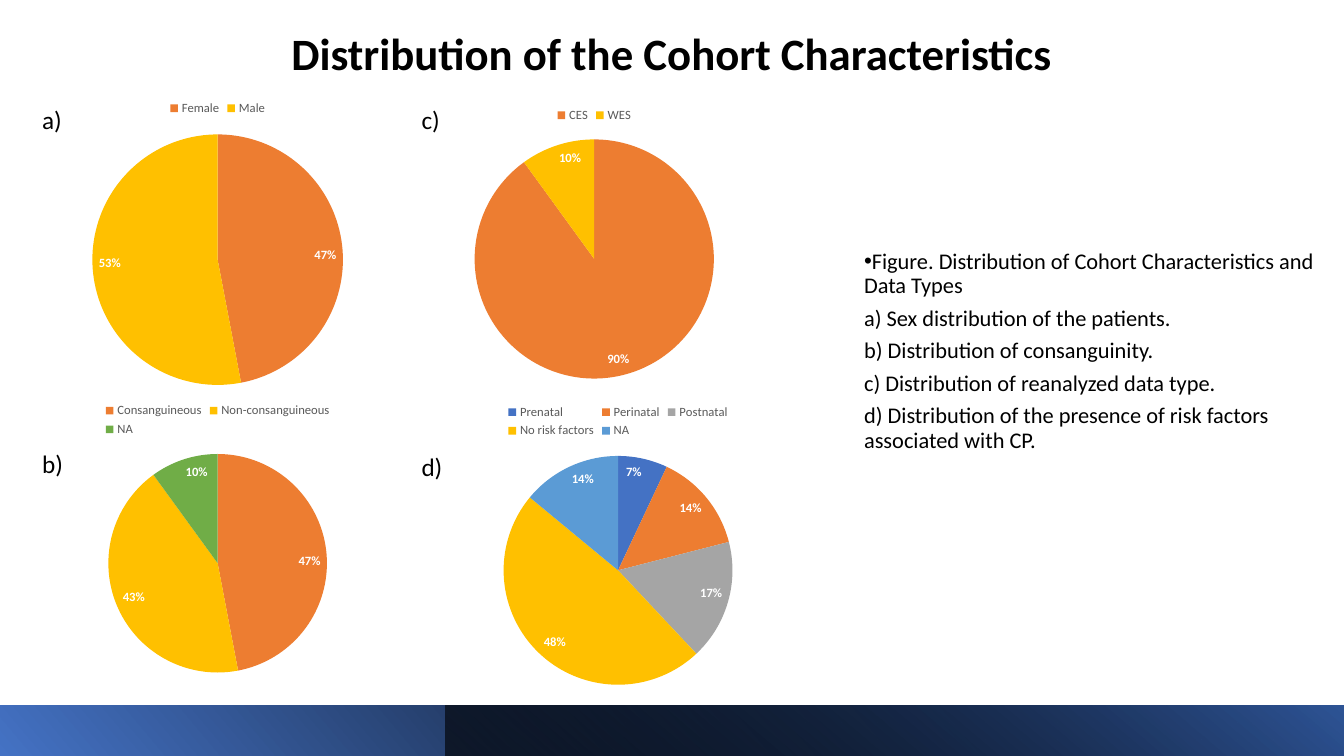
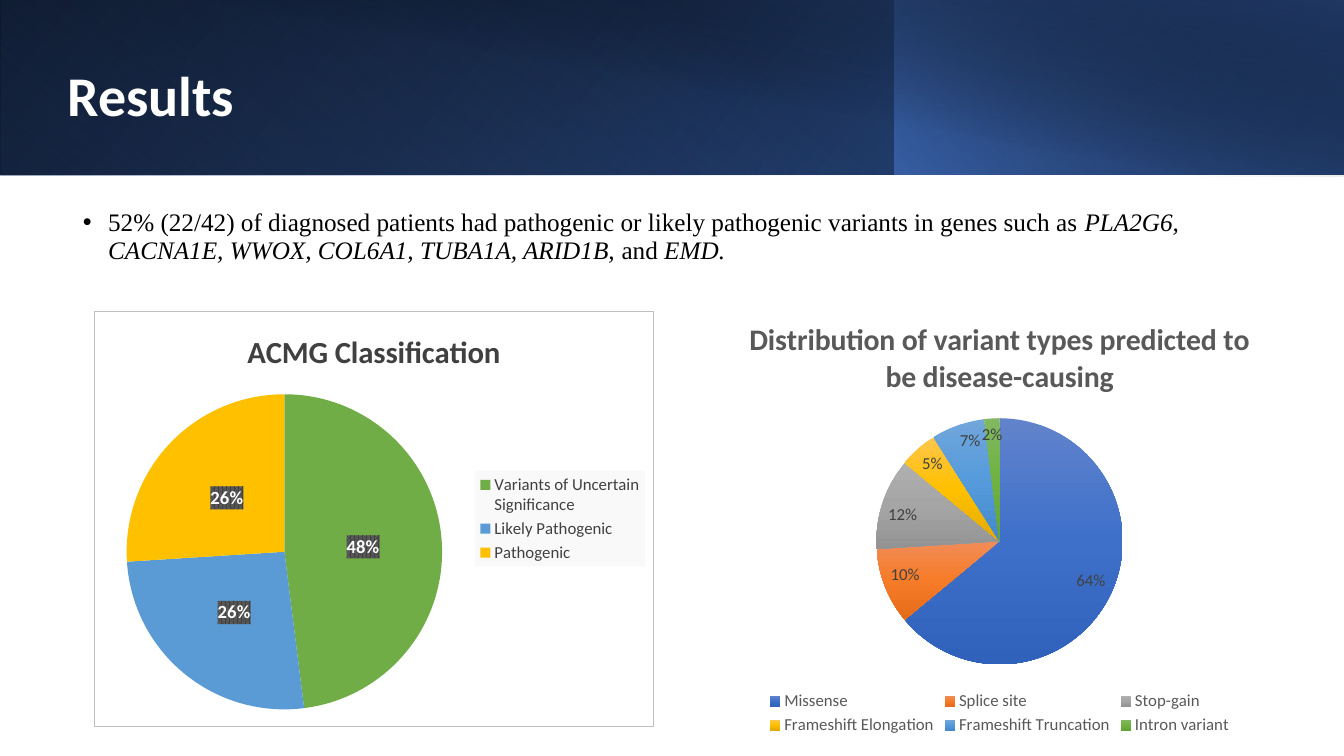
from dataclasses import dataclass

from pptx import Presentation
from pptx import util as u
from pptx.chart import data as chart_data
from pptx.dml.color import RGBColor
from pptx.enum import chart as charts, shapes, text
from pptx.oxml import parse_xml
from pptx.oxml.ns import nsdecls, qn


@dataclass(frozen=True)
class Theme:
    font: str = "Calibri"
    serif: str = "Times New Roman"
    black: str = "000000"
    white: str = "FFFFFF"
    dark: str = "404040"
    grey: str = "595959"
    border: str = "BFBFBF"
    legend_back: str = "F2F2F2"
    blue: str = "4472C4"
    navy: str = "203864"
    royal: str = "2F5597"
    orange: str = "ED7D31"
    silver: str = "A5A5A5"
    gold: str = "FFC000"
    sky: str = "5B9BD5"
    green: str = "70AD47"
    heading: float = 40
    title: float = 32
    chart_title: float = 21.3
    chart_title_large: float = 22
    label: float = 18
    body: float = 16
    value: float = 13.3
    legend: float = 12
    chart: float = 10
    small: float = 9


THEME = Theme()
WIDTH, HEIGHT = u.Inches(13.33), u.Inches(7.5)
COLUMNS, ROWS = 96, 54
BAND_TOP, BAND_HEIGHT, HEADER_HEIGHT = 50.4, 3.6, 12.5


def grid(left, top, width, height):
    column, row = WIDTH / COLUMNS, HEIGHT / ROWS
    return [u.Emu(round(size)) for size in
            (left * column, top * row, width * column, height * row)]


def place(shape, box):
    shape.left, shape.top, shape.width, shape.height = grid(*box)


def style_font(font, size, color, bold=False, name=THEME.font):
    font.name, font.size, font.bold = name, u.Pt(size), bold
    font.color.rgb = RGBColor.from_string(color)


def color_xml(color, alpha=100):
    return f'<a:srgbClr val="{color}"><a:alpha val="{alpha * 1000}"/></a:srgbClr>'


def solid_xml(color, alpha=100):
    return f"<a:solidFill>{color_xml(color, alpha)}</a:solidFill>"


def paint_gradient(fill, stops, angle):
    fill.background()
    stops_xml = "".join(f'<a:gs pos="{position * 1000}">{color_xml(*color)}</a:gs>'
                        for position, *color in stops)
    gradient = parse_xml(
        f'<a:gradFill rotWithShape="1" {nsdecls("a")}><a:gsLst>{stops_xml}</a:gsLst>'
        f'<a:lin ang="{angle * 60000}" scaled="0"/></a:gradFill>')
    properties = fill._xPr
    properties.replace(properties.find(qn("a:noFill")), gradient)


def add_band(slide, box, stops, angle, rotation=0, flip=True):
    band = slide.shapes.add_shape(shapes.MSO_SHAPE.RECTANGLE, *grid(*box))
    band.shadow.inherit = False
    band.line.fill.background()
    band.rotation = rotation
    if flip:
        band._element.spPr.find(qn("a:xfrm")).set("flipH", "1")
    paint_gradient(band.fill, stops, angle)


def set_bullet(paragraph, character=None, margin=0, indent=0):
    properties = paragraph._p.get_or_add_pPr()
    properties.set("marL", str(u.Inches(margin)))
    properties.set("indent", str(u.Inches(indent)))
    bullet = f'<a:buChar char="{character}" ' if character else "<a:buNone "
    properties.append(parse_xml(f'{bullet}{nsdecls("a")}/>'))


def fill_title(slide, box, words, size, color, anchor, alignment):
    title = slide.shapes.title
    place(title, box)
    frame = title.text_frame
    frame.auto_size, frame.vertical_anchor = text.MSO_AUTO_SIZE.NONE, anchor
    frame.text = words
    paragraph = frame.paragraphs[0]
    paragraph.alignment, paragraph.line_spacing = alignment, 0.9
    style_font(paragraph.font, size, color, True)
    slide.shapes._spTree.append(title._element)


def open_body(slide, box, anchor):
    body = slide.placeholders[1]
    place(body, box)
    frame = body.text_frame
    frame.auto_size, frame.vertical_anchor = text.MSO_AUTO_SIZE.NONE, anchor
    slide.shapes._spTree.append(body._element)
    return frame


def fill_caption(slide, box, lines):
    frame = open_body(slide, box, text.MSO_ANCHOR.TOP)
    frame.text = "\n".join(lines)
    for index, paragraph in enumerate(frame.paragraphs):
        if index == 0:
            set_bullet(paragraph, "•", 0, -0.25)
        else:
            set_bullet(paragraph)
        paragraph.line_spacing = 0.9
        paragraph.space_before, paragraph.space_after = u.Pt(0), u.Pt(6)
        style_font(paragraph.font, THEME.body, THEME.black)


def fill_finding(slide, box, pieces):
    paragraph = open_body(slide, box, text.MSO_ANCHOR.MIDDLE).paragraphs[0]
    set_bullet(paragraph, "•", 0.25, -0.25)
    paragraph.line_spacing, paragraph.space_before = 0.9, u.Pt(10)
    style_font(paragraph.font, THEME.label, THEME.black, name=THEME.serif)
    for words, italic in pieces:
        run = paragraph.add_run()
        run.text, run.font.italic = words, italic


def add_panel_label(slide, left, top, words):
    frame = slide.shapes.add_textbox(*grid(left, top, 3.1, 2.9)).text_frame
    frame.word_wrap, frame.auto_size = False, text.MSO_AUTO_SIZE.SHAPE_TO_FIT_TEXT
    frame.text = words
    style_font(frame.paragraphs[0].font, THEME.label, THEME.black)


def style_back(parent, inner_xml):
    parent.find(qn("c:txPr")).addprevious(
        parse_xml(f'<c:spPr {nsdecls("c", "a")}>{inner_xml}</c:spPr>'))


def place_pie(chart, box, center_x, center_y, diameter):
    width = diameter * box[3] / box[2]
    shares = {"x": center_x - width / 2, "y": center_y - diameter / 2,
              "w": width, "h": diameter}
    values = "".join(f'<c:{key} val="{share:.4f}"/>' for key, share in shares.items())
    layout = parse_xml(
        f'<c:layout {nsdecls("c")}><c:manualLayout><c:layoutTarget val="inner"/>'
        f'<c:xMode val="edge"/><c:yMode val="edge"/>{values}</c:manualLayout></c:layout>')
    plot_area = chart._chartSpace.chart.plotArea
    for old in plot_area.findall(qn("c:layout")):
        plot_area.remove(old)
    plot_area.insert(0, layout)


def add_pie(slide, box, slices, pie, name="Series 1", legend="TOP",
            legend_size=THEME.small, legend_color=THEME.grey, label_size=THEME.small,
            label_color=THEME.white, label_bold=True, label_place="INSIDE_END",
            title=None, title_color=THEME.grey, title_size=THEME.chart_title):
    chart_values = chart_data.CategoryChartData()
    chart_values.categories = [category for category, _, _ in slices]
    chart_values.add_series(name, [value for _, value, _ in slices])
    chart = slide.shapes.add_chart(
        charts.XL_CHART_TYPE.PIE, *grid(*box), chart_values).chart
    style_font(chart.font, THEME.chart, THEME.black)
    chart.has_title = title is not None
    if title:
        frame = chart.chart_title.text_frame
        frame.text = title
        style_font(frame.paragraphs[0].font, title_size, title_color, True)
    chart.has_legend = True
    chart.legend.position = charts.XL_LEGEND_POSITION[legend]
    chart.legend.include_in_layout = False
    style_font(chart.legend.font, legend_size, legend_color)
    plot = chart.plots[0]
    plot.vary_by_categories = True
    series = plot.series[0]
    for index, (_, _, color) in enumerate(slices):
        fill = series.points[index].format.fill
        if isinstance(color, str):
            fill.solid()
            fill.fore_color.rgb = RGBColor.from_string(color)
        else:
            paint_gradient(fill, list(zip((0, 50, 100), color)), 90)
    labels = series.data_labels
    labels.show_percentage, labels.show_value = True, False
    labels.number_format, labels.number_format_is_linked = "0%", False
    labels.position = charts.XL_LABEL_POSITION[label_place]
    style_font(labels.font, label_size, label_color, label_bold)
    place_pie(chart, box, *pie)
    return chart


def build_cohort(slide):
    add_band(slide, (0, BAND_TOP, COLUMNS, BAND_HEIGHT),
             [(0, THEME.blue), (78, THEME.black)], 40, 180)
    add_band(slide, (31.8, BAND_TOP, COLUMNS - 31.8, BAND_HEIGHT),
             [(0, THEME.black, 63), (100, THEME.royal)], 230)
    fill_title(slide, (10.2, -1.1, 75.6, 7.2), "Distribution of the Cohort Characteristics",
               THEME.title, THEME.black, text.MSO_ANCHOR.BOTTOM, text.PP_ALIGN.CENTER)
    fill_caption(slide, (61, 17.5, 35.4, 20.2), [
        "Figure. Distribution of Cohort Characteristics and Data Types",
        "a) Sex distribution of the patients.",
        "b) Distribution of consanguinity.",
        "c) Distribution of reanalyzed data type.",
        "d) Distribution of the presence of risk factors associated with CP."])
    panels = [
        ("a)", 2.3, 7.1, (2, 6.4, 27.1, 22.1), (0.5, 0.55, 0.81),
         [("Female", 47, THEME.orange), ("Male", 53, THEME.gold)]),
        ("b)", 2.3, 31.7, (2, 28, 27.1, 21.1), (0.5, 0.58, 0.74),
         [("Consanguineous", 47, THEME.orange), ("Non-consanguineous", 43, THEME.gold),
          ("NA", 10, THEME.green)]),
        ("c)", 29.4, 7.1, (27.3, 6.9, 30.3, 21.1), (0.5, 0.55, 0.81),
         [("CES", 90, THEME.orange), ("WES", 10, THEME.gold)]),
        ("d)", 29.4, 31.9, (30.6, 28.1, 27.1, 21.8), (0.5, 0.58, 0.75),
         [("Prenatal", 7, THEME.blue), ("Perinatal", 14, THEME.orange),
          ("Postnatal", 17, THEME.silver), ("No risk factors", 48, THEME.gold),
          ("NA", 14, THEME.sky)])]
    for _, _, _, box, pie, slices in panels:
        add_pie(slide, box, slices, pie)
    for words, left, top, *_ in panels:
        add_panel_label(slide, left, top, words)


def add_header(slide):
    split = 63.9
    add_band(slide, (0, 0, COLUMNS, HEADER_HEIGHT),
             [(0, THEME.black), (100, THEME.royal)], 140)
    add_band(slide, (0, 0, split, HEADER_HEIGHT),
             [(20, THEME.blue, 0), (100, THEME.navy, 55)], 230, 180)
    add_band(slide, (split, 0, COLUMNS - split, HEADER_HEIGHT),
             [(0, THEME.blue, 66), (100, THEME.black, 30)], 220)
    add_band(slide, (3.6, 0, COLUMNS - 3.6, HEADER_HEIGHT + 0.1),
             [(50, THEME.black, 0), (99, THEME.navy, 52)], 280, flip=False)


def add_variant_chart(slide, box):
    title = "Distribution of variant types predicted to be disease-causing"
    shades = [("6183CB", "3E70CA", "3062BB"), ("F18C57", "F67B28", "E56C19"),
              ("AFAFAF", "A5A5A5", "939393"), ("FFC64B", "FFC000", "E3AB00"),
              ("71A6DB", "559BDB", "448ACA"), ("81B861", "6FB242", "62A336")]
    names = ["Missense", "Splice site", "Stop-gain", "Frameshift Elongation",
             "Frameshift Truncation", "Intron variant"]
    add_pie(slide, box, list(zip(names, (64, 10, 12, 5, 7, 2), shades)),
            (0.5, 0.55, 0.56), title, "BOTTOM", THEME.legend, THEME.grey,
            THEME.legend, THEME.dark, False, title=title)


def add_classification_chart(slide, box):
    chart = add_pie(
        slide, box,
        [("Variants of Uncertain Significance", 48, THEME.green),
         ("Likely Pathogenic", 26, THEME.sky), ("Pathogenic", 26, THEME.gold)],
        (0.34, 0.58, 0.76), legend="RIGHT", legend_size=THEME.legend,
        legend_color=THEME.dark, label_size=THEME.value, label_place="CENTER",
        title="ACMG Classification", title_color=THEME.dark,
        title_size=THEME.chart_title_large)
    style_back(chart._chartSpace, solid_xml(THEME.white)
               + f'<a:ln w="{u.Pt(0.75)}">{solid_xml(THEME.border)}</a:ln>')
    style_back(chart.legend._element, solid_xml(THEME.legend_back, 39))
    style_back(chart.plots[0].series[0].data_labels._element,
               f'<a:pattFill prst="pct75"><a:fgClr>{color_xml(THEME.dark)}</a:fgClr>'
               f'<a:bgClr>{color_xml(THEME.grey)}</a:bgClr></a:pattFill>')


def build_results(slide):
    add_header(slide)
    fill_title(slide, (4.1, 3, 77.9, 8.1), "Results", THEME.heading, THEME.white,
               text.MSO_ANCHOR.MIDDLE, text.PP_ALIGN.LEFT)
    fill_finding(slide, (5.2, 8.4, 87.2, 17.1), [
        ("52% (22/42) of diagnosed patients had pathogenic or likely pathogenic "
         "variants in genes such as ", False),
        ("PLA2G6, CACNA1E, WWOX, COL6A1, TUBA1A, ARID1B, ", True),
        ("and ", False), ("EMD.", True)])
    add_variant_chart(slide, (47.2, 21.4, 48.4, 31.4))
    add_classification_chart(slide, (6.7, 22.2, 40, 29.7))


def main():
    presentation = Presentation()
    presentation.slide_width, presentation.slide_height = WIDTH, HEIGHT
    for build in (build_cohort, build_results):
        build(presentation.slides.add_slide(presentation.slide_layouts[1]))
    presentation.save("out.pptx")


if __name__ == "__main__":
    main()
